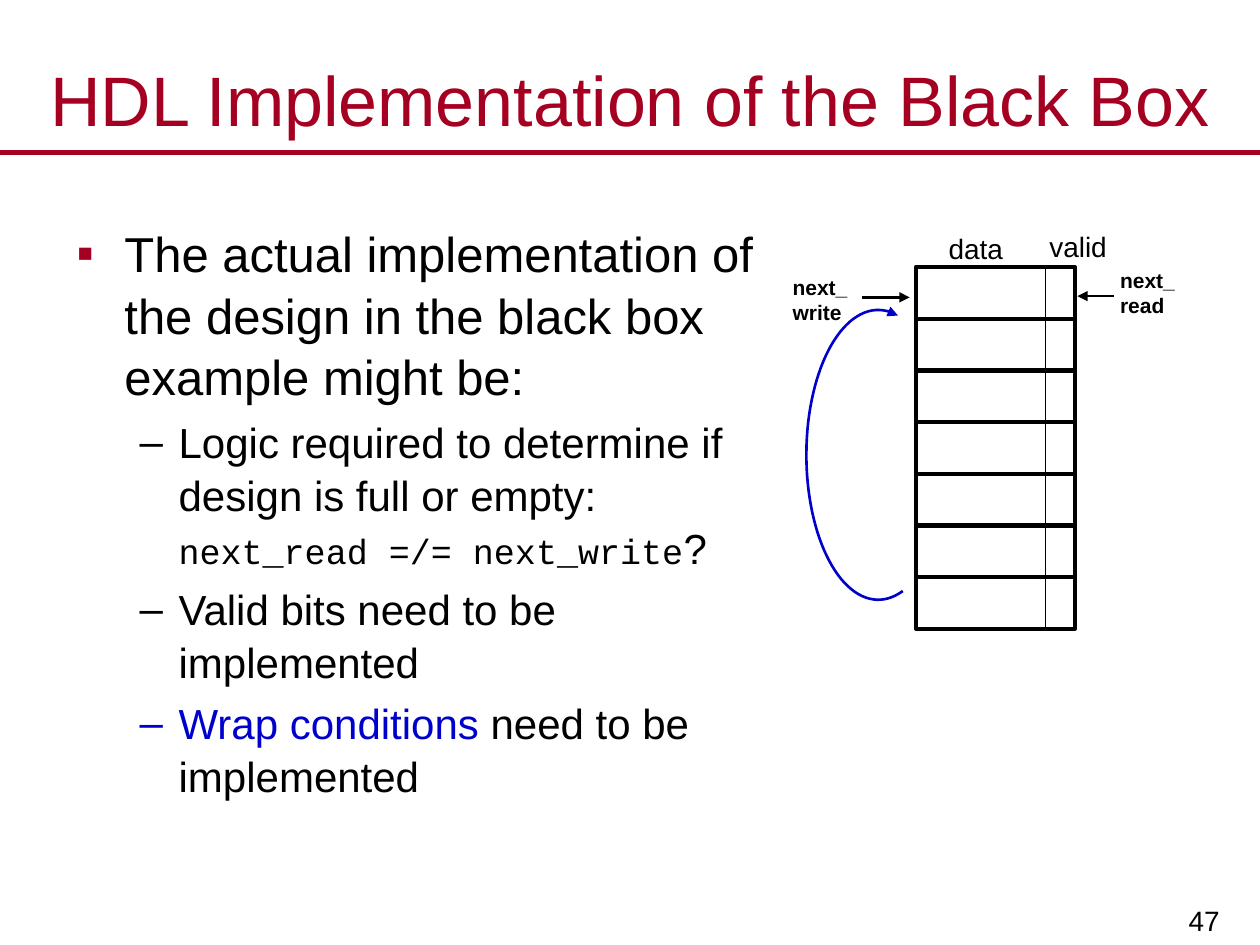
"""Build a slide on the HDL implementation of a circular buffer."""
from dataclasses import dataclass
from math import cos, radians, sin

from lxml.etree import SubElement
from pptx import Presentation
from pptx.dml.color import RGBColor
from pptx.enum.shapes import MSO_CONNECTOR, MSO_SHAPE
from pptx.enum.text import MSO_ANCHOR, PP_ALIGN
from pptx.oxml.ns import qn
from pptx.util import Inches, Pt

RED, BLACK, BLUE = "A50021", "000000", "0000CC"
SANS, MONO = "Arial", "Courier New"


@dataclass(frozen=True)
class Span:
    text: str
    size: float
    color: str = BLACK
    font: str = SANS
    bold: bool = False


@dataclass(frozen=True)
class Para:
    spans: tuple[Span, ...]
    align: PP_ALIGN = PP_ALIGN.LEFT
    level: int = 0
    bullet: str = ""
    bullet_color: str = ""
    margin: float = 0
    indent: float = 0
    before: float = 0
    spacing: float = 1.0


@dataclass(frozen=True)
class Box:
    place: tuple[float, float, float, float]
    paras: tuple[Para, ...]
    inset: tuple[float, float] = (0.1, 0.05)
    anchor: MSO_ANCHOR = MSO_ANCHOR.TOP
    wrap: bool = True


@dataclass(frozen=True)
class Line:
    start: tuple[float, float]
    end: tuple[float, float]
    width: float
    color: str = BLACK
    arrow: bool = False


def rgb(color: str) -> RGBColor:
    return RGBColor.from_string(color)


def apply(target, values: dict) -> None:
    for name, value in values.items():
        setattr(target, name, value)


def style_line(shape, width: float, color: str, arrow: bool = False) -> None:
    shape.line.width = Pt(width)
    shape.line.color.rgb = rgb(color)
    if arrow:
        SubElement(shape.line._get_or_add_ln(), qn("a:tailEnd"), type="triangle")


def add_line(page, line: Line) -> None:
    points = [Inches(value) for value in (*line.start, *line.end)]
    connector = page.shapes.add_connector(MSO_CONNECTOR.STRAIGHT, *points)
    style_line(connector, line.width, line.color, line.arrow)
    SubElement(connector._element.spPr, qn("a:effectLst"))


def add_bullet(paragraph, para: Para) -> None:
    properties = paragraph._p.get_or_add_pPr()
    properties.set("marL", str(Inches(para.margin)))
    properties.set("indent", str(Inches(para.indent)))
    if para.bullet_color:
        color = SubElement(properties, qn("a:buClr"))
        SubElement(color, qn("a:srgbClr"), val=para.bullet_color)
    SubElement(properties, qn("a:buFont"), typeface=SANS)
    SubElement(properties, qn("a:buChar"), char=para.bullet)


def add_box(page, box: Box) -> None:
    shape = page.shapes.add_textbox(*(Inches(value) for value in box.place))
    frame = shape.text_frame
    side, edge = (Inches(value) for value in box.inset)
    apply(frame, {"word_wrap": box.wrap, "vertical_anchor": box.anchor,
                  "margin_left": side, "margin_right": side,
                  "margin_top": edge, "margin_bottom": edge})
    for index, para in enumerate(box.paras):
        paragraph = frame.add_paragraph() if index else frame.paragraphs[0]
        apply(paragraph, {"alignment": para.align, "level": para.level,
                          "space_before": Pt(para.before),
                          "line_spacing": para.spacing})
        if para.bullet:
            add_bullet(paragraph, para)
        for span in para.spans:
            run = paragraph.add_run()
            run.text = span.text
            apply(run.font, {"size": Pt(span.size), "name": span.font,
                             "bold": span.bold})
            run.font.color.rgb = rgb(span.color)


def plain(text: str, size: float, color: str = BLACK,
          align: PP_ALIGN = PP_ALIGN.LEFT, bold: bool = False) -> Para:
    return Para((Span(text, size, color, bold=bold),), align)


def dash(*spans: Span) -> Para:
    return Para(spans, level=1, bullet="–", margin=0.81, indent=-0.31,
                before=4.8, spacing=1.05)


def add_buffer(page, left: float, top: float, width: float, height: float,
               rows: int, divider: float) -> None:
    frame = page.shapes.add_shape(
        MSO_SHAPE.ROUNDED_RECTANGLE,
        *(Inches(value) for value in (left, top, width, height)))
    frame.adjustments[0] = 0
    frame.shadow.inherit = False
    frame.fill.background()
    style_line(frame, 2.5, BLACK)
    for row in range(1, rows):
        level = top + row * height / rows
        add_line(page, Line((left, level), (left + width, level), 2.5))
    add_line(page, Line((divider, top), (divider, top + height), 0.75))


def add_wrap_arrow(page, center: tuple[float, float],
                   radii: tuple[float, float], first: int, last: int) -> None:
    points = [(Inches(center[0] + radii[0] * cos(radians(angle))),
               Inches(center[1] + radii[1] * sin(radians(angle))))
              for angle in range(first, last + 1, 3)]
    builder = page.shapes.build_freeform(*points[0])
    builder.add_line_segments(points[1:], close=False)
    curve = builder.convert_to_shape()
    curve.shadow.inherit = False
    curve.fill.background()
    style_line(curve, 1.5, BLUE, arrow=True)


BODY = (
    Para((Span("The actual implementation of the design in the black box "
               "example might be:", 28),),
         bullet="▪", bullet_color=RED, margin=0.38, indent=-0.38, spacing=1.05),
    dash(Span("Logic required to determine if design is full or empty: ", 24),
         Span("next_read =/= next_write", 20, font=MONO), Span("?", 24)),
    dash(Span("Valid bits need to be implemented", 24)),
    dash(Span("Wrap conditions", 24, BLUE),
         Span(" need to be implemented", 24)),
)


def pointer(word: str) -> tuple[Para, ...]:
    return tuple(plain(text, 12, bold=True) for text in ("next_", word))


BOXES = (
    Box((7.8, 6.93, 1.99, 0.57), (plain("47", 16, align=PP_ALIGN.RIGHT),),
        (0.11, 0.06), MSO_ANCHOR.BOTTOM),
    Box((0, 0.36, 10, 0.85),
        (plain("HDL Implementation of the Black Box", 40, RED, PP_ALIGN.CENTER),),
        anchor=MSO_ANCHOR.MIDDLE),
    Box((6.29, 2.18, 0.68, 0.52), pointer("write"), (0, 0)),
    Box((8.89, 2.12, 0.7, 0.47), pointer("read"), (0, 0)),
    Box((8.23, 1.77, 1.01, 0.37), (plain("valid", 16),)),
    Box((7.43, 1.79, 0.63, 0.37), (plain("data", 16),), wrap=False),
    Box((0.51, 1.7, 5.6, 5.14), BODY),
)

LINES = (
    Line((0, 1.21), (10, 1.21), 3, RED),
    Line((6.84, 2.36), (7.22, 2.36), 1.5, arrow=True),
    Line((8.84, 2.35), (8.55, 2.35), 1.5, arrow=True),
)

deck = Presentation()
deck.slide_width, deck.slide_height = Inches(10), Inches(7.5)
page = deck.slides.add_slide(deck.slide_layouts[6])
add_buffer(page, 7.27, 2.12, 1.26, 2.87, rows=7, divider=8.3)
for line in LINES:
    add_line(page, line)
for box in BOXES:
    add_box(page, box)
add_wrap_arrow(page, (6.97, 3.61), (0.57, 1.15), 70, 286)
deck.save("out.pptx")
